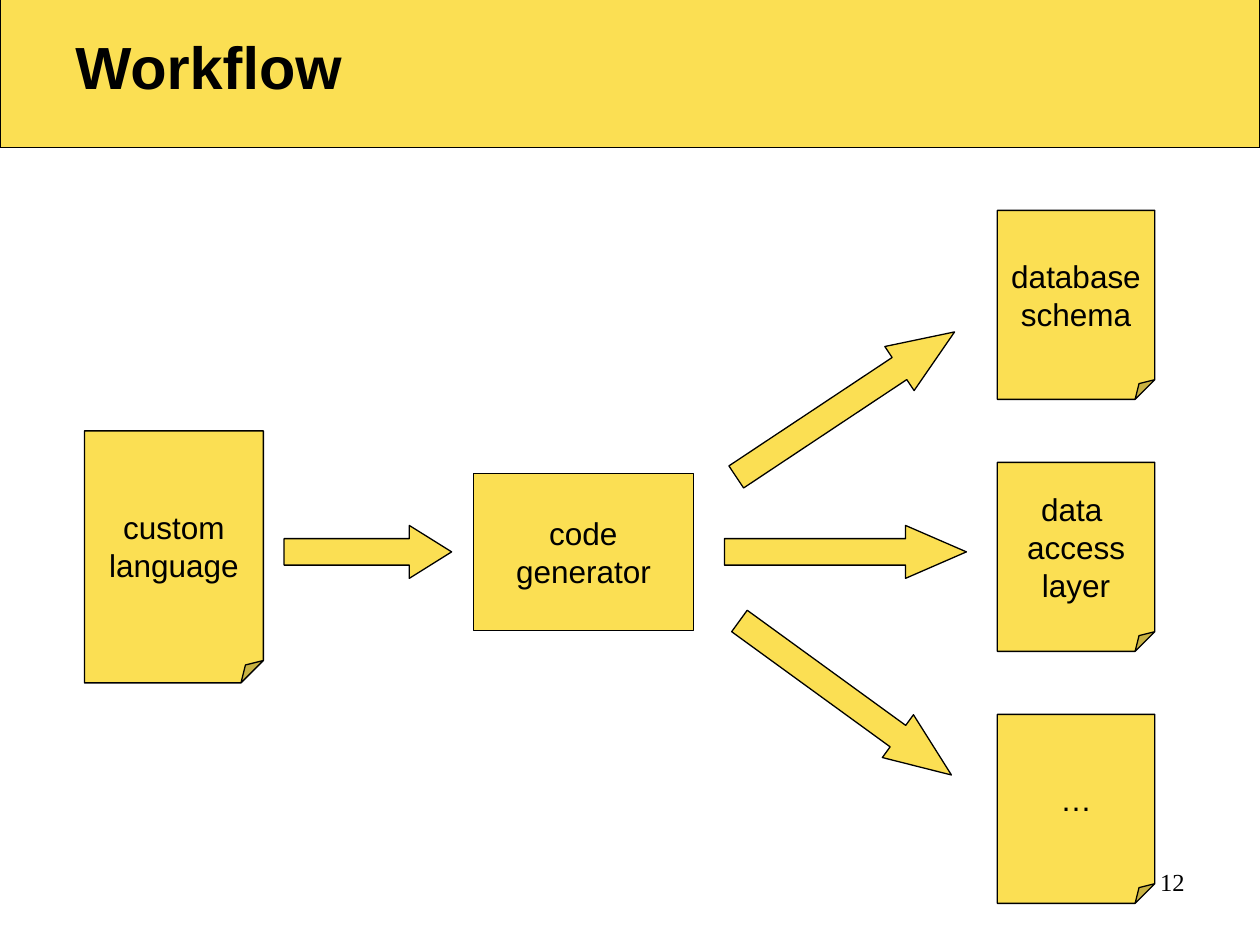
"""Build the Workflow slide: a custom language feeding a code generator with three outputs."""
from lxml import etree
from pptx import Presentation
from pptx import util as u
from pptx.dml.color import RGBColor
from pptx.enum import shapes, text
from pptx.oxml import ns

YELLOW = RGBColor(0xFB, 0xDF, 0x53)
BLACK = RGBColor(0, 0, 0)
WIDTH, HEIGHT = 10, 7.5
SHEET = shapes.MSO_SHAPE.FOLDED_CORNER
BOX = shapes.MSO_SHAPE.RECTANGLE
ARROW = shapes.MSO_SHAPE.RIGHT_ARROW

TITLE = "Workflow"
PAGE_NUMBER = "12"
SOURCE = ["custom", "language"]
GENERATOR = ["code", "generator"]
OUTPUTS = [["database", "schema"], ["data ", "access", "layer"], ["…"]]

FLOW_Y = 4.38
SHEET_Y = 4.42
OUTPUT_PITCH = 2
FAN_X = 6.71
ARROW_HEIGHT = 0.42
ARROWS = [
    (2.92, FLOW_Y, 1.33, 0.8, 0),
    (FAN_X, 3.21, 2.08, 1.25, -33.6),
    (FAN_X, 5.54, 2.08, 1.25, 36),
    (FAN_X, FLOW_Y, 1.92, 1.15, 0),
]


def write(frame, lines, size, align, font="Arial", bold=False):
    for index, line in enumerate(lines):
        paragraph = frame.paragraphs[0] if index == 0 else frame.add_paragraph()
        paragraph.alignment = align
        run = paragraph.add_run()
        run.text = line
        run.font.size = u.Pt(size)
        run.font.name = font
        run.font.bold = bold
        run.font.color.rgb = BLACK


def add_part(slide, kind, center_x, center_y, width, height, lines=()):
    part = slide.shapes.add_shape(
        kind, u.Inches(center_x - width / 2), u.Inches(center_y - height / 2),
        u.Inches(width), u.Inches(height))
    part.shadow.inherit = False
    part.fill.solid()
    part.fill.fore_color.rgb = YELLOW
    part.line.color.rgb = BLACK
    part.line.width = u.Pt(0.75)
    part.text_frame.word_wrap = False
    part.text_frame.vertical_anchor = text.MSO_ANCHOR.MIDDLE
    write(part.text_frame, lines, 18, text.PP_ALIGN.CENTER)
    return part


def add_sheet(slide, *place_and_lines):
    sheet = add_part(slide, SHEET, *place_and_lines)
    guides = sheet.element.find(".//" + ns.qn("a:avLst"))
    etree.SubElement(guides, ns.qn("a:gd"), name="adj", fmla="val 12500")


def add_label(slide, label, left, top, width, height, anchor, *style):
    caption = slide.shapes.add_textbox(*map(u.Inches, (left, top, width, height)))
    caption.text_frame.word_wrap = True
    caption.text_frame.vertical_anchor = anchor
    write(caption.text_frame, [label], *style)


def main():
    deck = Presentation()
    deck.slide_width, deck.slide_height = u.Inches(WIDTH), u.Inches(HEIGHT)
    slide = deck.slides.add_slide(deck.slide_layouts[6])

    add_part(slide, BOX, WIDTH / 2, 0.545, WIDTH, 1.25)
    add_label(slide, TITLE, 0.5, 0.11, 9, 0.83, text.MSO_ANCHOR.MIDDLE,
              34, text.PP_ALIGN.LEFT, "Arial", True)

    add_sheet(slide, 1.38, SHEET_Y, 1.42, 2, SOURCE)
    add_part(slide, BOX, 4.63, FLOW_Y, 1.75, 1.25, GENERATOR)
    for row, lines in enumerate(OUTPUTS):
        center_y = SHEET_Y + (row - 1) * OUTPUT_PITCH
        add_sheet(slide, 8.54, center_y, 1.25, 1.5, lines)

    for center_x, center_y, length, head, angle in ARROWS:
        arrow = add_part(slide, ARROW, center_x, center_y, length, ARROW_HEIGHT)
        arrow.adjustments[0] = 0.5
        arrow.adjustments[1] = head
        arrow.rotation = angle

    add_label(slide, PAGE_NUMBER, 7.17, 6.83, 2.33, 0.52, text.MSO_ANCHOR.TOP,
              14, text.PP_ALIGN.RIGHT, "Times New Roman")
    deck.save("out.pptx")


if __name__ == "__main__":
    main()
